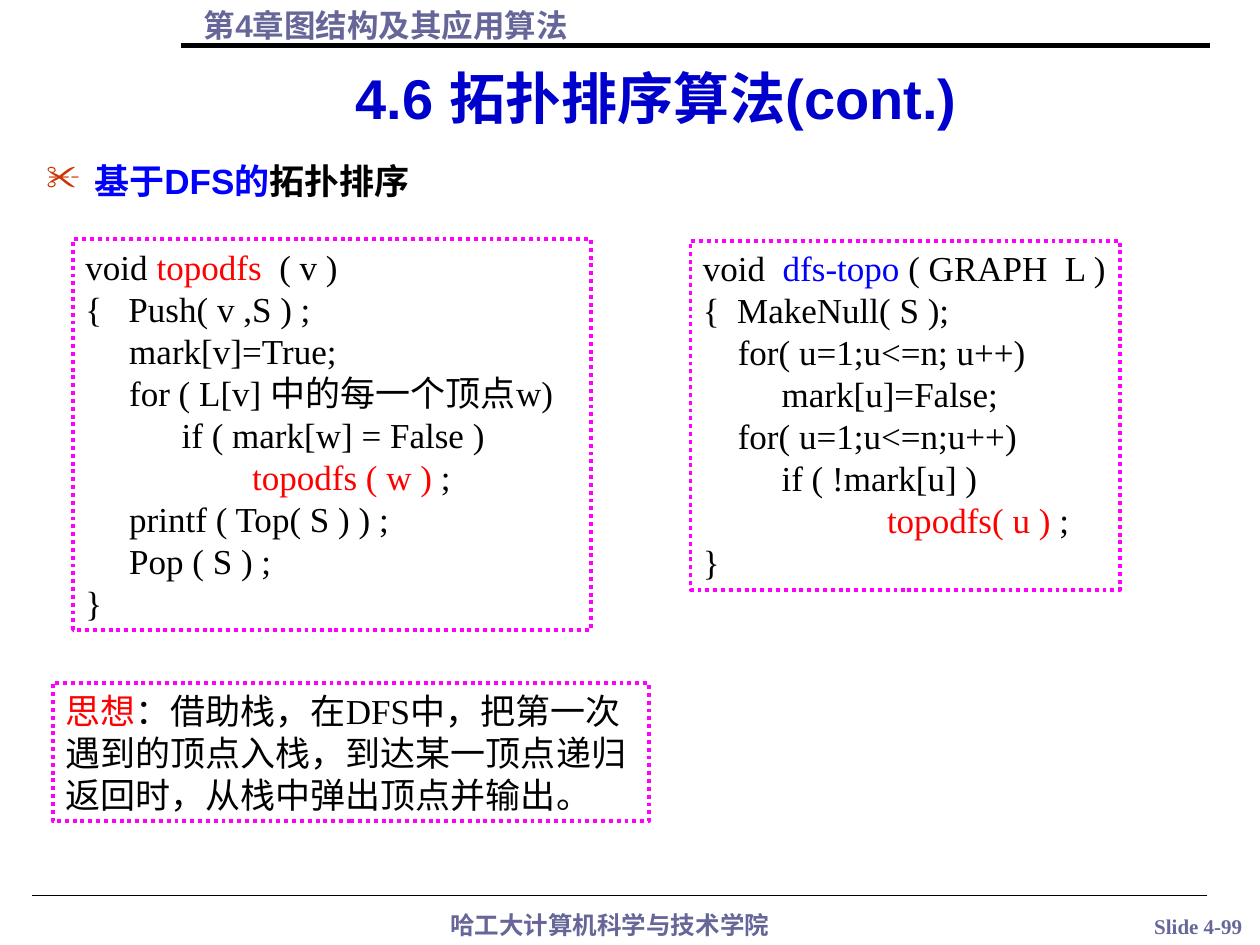
"""Build the slide on DFS-based topological sorting."""
from dataclasses import dataclass
from typing import Optional

from lxml.etree import SubElement
from pptx import Presentation
from pptx.dml.color import RGBColor
from pptx.enum.dml import MSO_LINE
from pptx.enum.shapes import MSO_CONNECTOR, MSO_SHAPE
from pptx.enum.text import MSO_ANCHOR, PP_ALIGN
from pptx.oxml.ns import qn
from pptx.util import Inches, Pt

BLACK = RGBColor(0x00, 0x00, 0x00)
RED = RGBColor(0xFF, 0x00, 0x00)
BLUE = RGBColor(0x00, 0x00, 0xFF)
NAVY = RGBColor(0x00, 0x00, 0xCC)
SLATE = RGBColor(0x66, 0x66, 0x99)
MAGENTA = RGBColor(0xFF, 0x00, 0xFF)
SERIF, SANS, CJK = "Times New Roman", "Arial", "Noto Sans CJK SC"


@dataclass
class Part:
    text: str
    color: RGBColor = BLACK
    font: str = SERIF


@dataclass
class Block:
    left: float
    top: float
    width: float
    height: float
    lines: list[list[Part]]
    size: int = 20
    bold: bool = True
    align: PP_ALIGN = PP_ALIGN.LEFT
    anchor: MSO_ANCHOR = MSO_ANCHOR.TOP
    wrap: bool = True
    bullet: Optional[str] = None
    framed: bool = False


@dataclass
class Rule:
    left: float
    right: float
    y: float
    weight: float


def code(*lines: str | list[Part]) -> list[list[Part]]:
    """Turn plain code lines into lists of parts."""
    return [[Part(line)] if isinstance(line, str) else line for line in lines]


def add_bullet(p, char: str) -> None:
    """Give a paragraph a hanging orange bullet."""
    pPr = p._p.get_or_add_pPr()
    pPr.set("marL", str(Inches(0.38)))
    pPr.set("indent", str(-Inches(0.38)))
    color = SubElement(pPr, qn("a:buClr"))
    SubElement(color, qn("a:srgbClr"), val="CC3300")
    SubElement(pPr, qn("a:buChar"), char=char)


def add_block(slide, block: Block) -> None:
    """Draw a text box or a dotted frame with its text."""
    box = [Inches(n) for n in (block.left, block.top, block.width, block.height)]
    if block.framed:
        sp = slide.shapes.add_shape(MSO_SHAPE.RECTANGLE, *box)
        sp.shadow.inherit = False
        sp.fill.background()
        sp.line.color.rgb = MAGENTA
        sp.line.width = Pt(2.25)
        sp.line.dash_style = MSO_LINE.ROUND_DOT
    else:
        sp = slide.shapes.add_textbox(*box)
    tf = sp.text_frame
    tf.word_wrap = block.wrap
    tf.vertical_anchor = block.anchor
    for i, line in enumerate(block.lines):
        p = tf.add_paragraph() if i else tf.paragraphs[0]
        p.alignment = block.align
        if block.bullet:
            add_bullet(p, block.bullet)
        for part in line:
            r = p.add_run()
            r.text = part.text
            r.font.size = Pt(block.size)
            r.font.bold = block.bold
            r.font.name = part.font
            r.font.color.rgb = part.color
            SubElement(r._r.get_or_add_rPr(), qn("a:ea"), typeface=CJK)


def add_rule(slide, rule: Rule) -> None:
    """Draw a horizontal black line."""
    y = Inches(rule.y)
    line = slide.shapes.add_connector(
        MSO_CONNECTOR.STRAIGHT, Inches(rule.left), y, Inches(rule.right), y)
    line.line.color.rgb = BLACK
    line.line.width = Pt(rule.weight)
    SubElement(line._element.spPr, qn("a:effectLst"))


TOPODFS = code(
    [Part("void "), Part("topodfs", RED), Part("  ( v )")],
    "{   Push( v ,S ) ;",
    "     mark[v]=True;",
    "     for ( L[v] 中的每一个顶点w)",
    "           if ( mark[w] = False )",
    [Part("                   "), Part("topodfs ( w )", RED), Part(" ;")],
    "     printf ( Top( S ) ) ;",
    "     Pop ( S ) ;",
    "}",
)
DFS_TOPO = code(
    [Part("void  "), Part("dfs-topo", BLUE), Part(" ( GRAPH  L )")],
    "{  MakeNull( S );",
    "    for( u=1;u<=n; u++)",
    "         mark[u]=False;",
    "    for( u=1;u<=n;u++)",
    "         if ( !mark[u] )",
    [Part("                     "), Part("topodfs( u )", RED), Part(" ;")],
    "}",
)
IDEA = [[Part("思想", RED),
         Part("：借助栈，在DFS中，把第一次遇到的顶点入栈，到达某一顶点递归返回时，从栈中弹出顶点并输出。")]]

RULES = [Rule(1.44, 9.6, 0.36, 3), Rule(0.25, 9.58, 7.11, 0.75)]
BLOCKS = [
    Block(3.04, 7.17, 3.6, 0.34, [[Part("哈工大计算机科学与技术学院", SLATE, CJK)]],
          size=14, align=PP_ALIGN.CENTER),
    Block(8.77, 7.2, 1.48, 0.3, [[Part("Slide 4-99", SLATE)]],
          size=12, align=PP_ALIGN.CENTER, wrap=False),
    Block(1.52, 0, 8.03, 0.4, [[Part("第4章图结构及其应用算法", SLATE, SANS)]], size=18),
    Block(1.36, 0.42, 7.7, 0.67, [[Part("4.6 拓扑排序算法(cont.)", NAVY, SANS)]],
          size=32, align=PP_ALIGN.CENTER, anchor=MSO_ANCHOR.BOTTOM),
    Block(0.27, 1.22, 9.51, 5.85, [[Part("基于DFS的", BLUE, SANS), Part("拓扑排序")]],
          bullet="✂"),
    Block(0.58, 1.9, 4.11, 3.1, TOPODFS, bold=False, wrap=False, framed=True),
    Block(5.48, 1.91, 3.41, 2.77, DFS_TOPO, bold=False, wrap=False, framed=True),
    Block(0.42, 5.42, 4.73, 1.1, IDEA, bold=False, framed=True),
]


def main() -> None:
    """Assemble and save the slide."""
    prs = Presentation()
    prs.slide_width, prs.slide_height = Inches(10), Inches(7.5)
    s = prs.slides.add_slide(prs.slide_layouts[6])
    for rule in RULES:
        add_rule(s, rule)
    for block in BLOCKS:
        add_block(s, block)
    prs.save("out.pptx")


if __name__ == "__main__":
    main()
